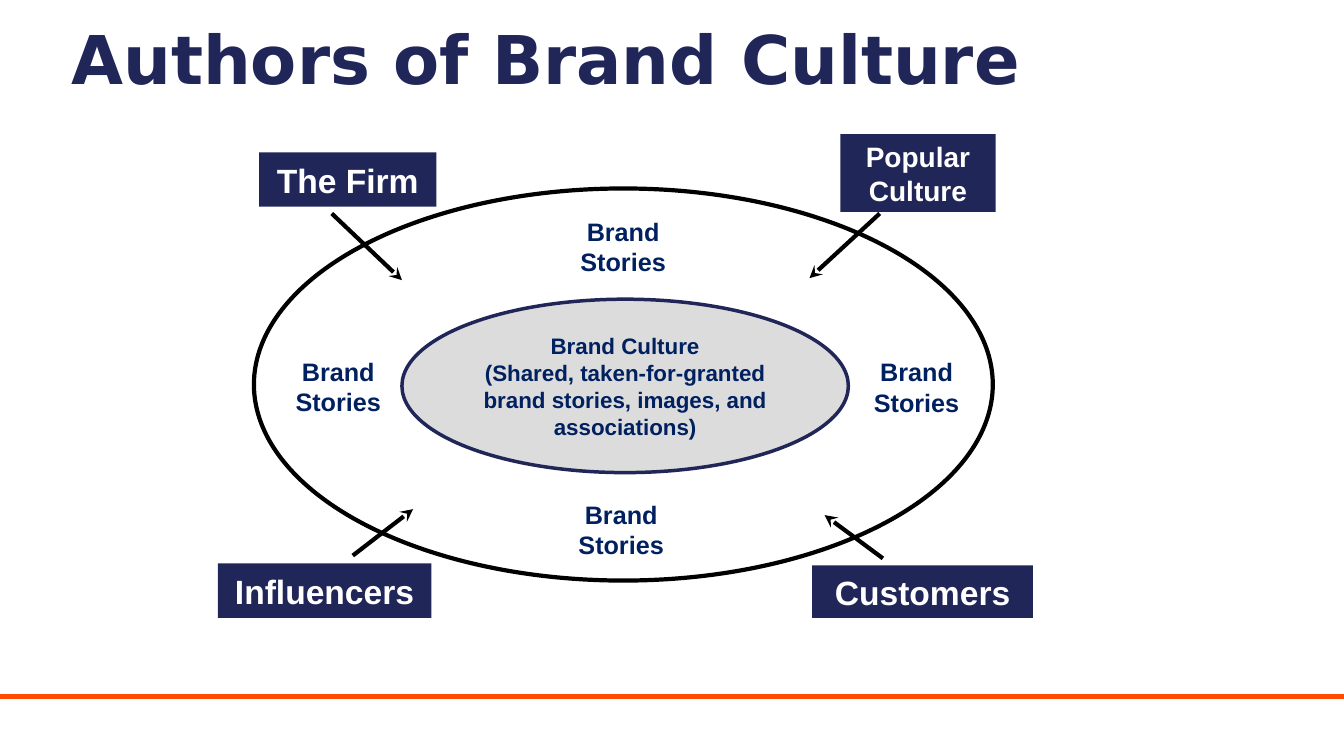
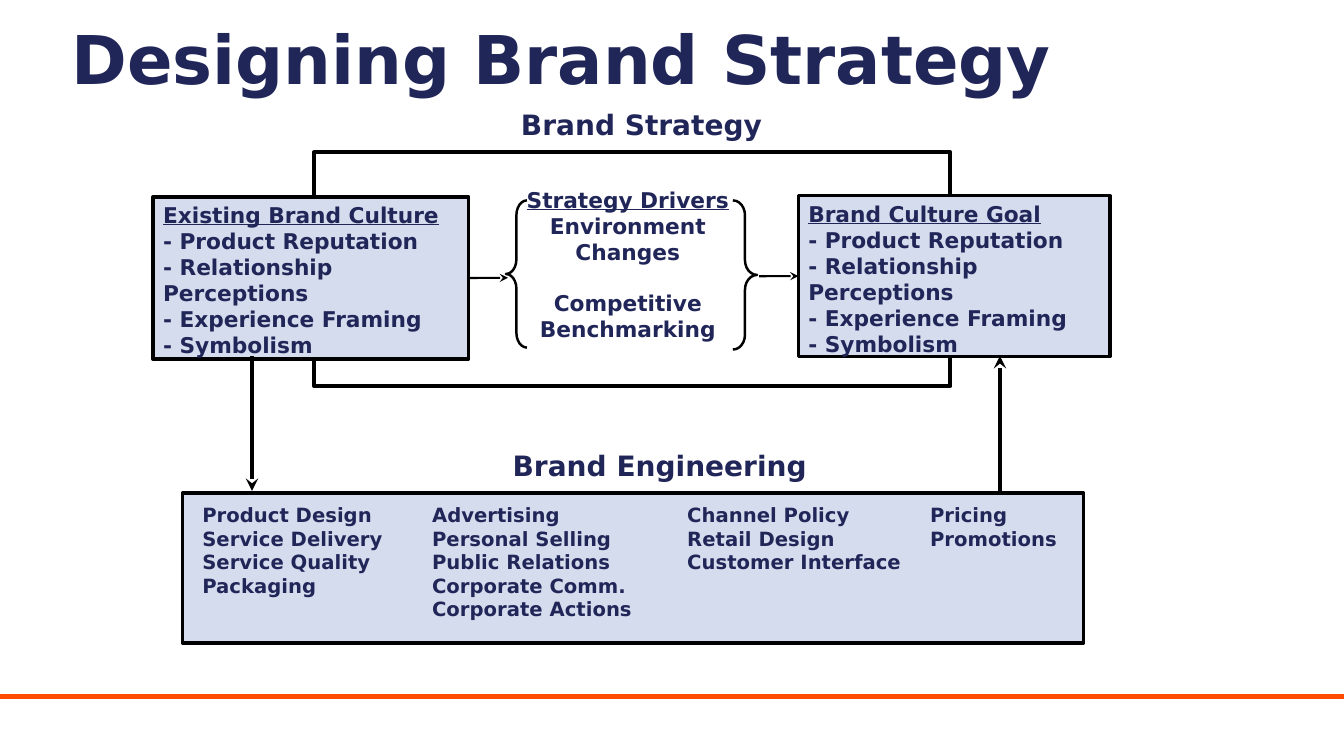
from dataclasses import dataclass
from typing import Optional

from lxml.etree import SubElement
from pptx import Presentation
from pptx.dml.color import RGBColor
from pptx.enum.shapes import MSO_CONNECTOR, MSO_SHAPE
from pptx.enum.text import MSO_ANCHOR, PP_ALIGN
from pptx.oxml.ns import qn
from pptx.util import Cm, Pt

# Shared look
NAVY, DEEP_BLUE, PALE_BLUE = "212659", "002060", "D5DCED"
BLACK, WHITE, GREY, ORANGE = "000000", "FFFFFF", "A6A6A6", "FF4A00"
SANS, ARIAL = "DejaVu Sans", "Arial"
SLIDE_WIDTH, SLIDE_HEIGHT = 33.87, 19.05
FOOTER_TOP = 17.55
TOP, MIDDLE = MSO_ANCHOR.TOP, MSO_ANCHOR.MIDDLE
LEFT, CENTER = PP_ALIGN.LEFT, PP_ALIGN.CENTER


@dataclass(frozen=True)
class Box:
    left: float
    top: float
    width: float
    height: float


@dataclass(frozen=True)
class TextStyle:
    size: float
    color: str = NAVY
    font: str = SANS
    align: PP_ALIGN = LEFT
    anchor: MSO_ANCHOR = TOP
    underline_first: bool = False
    inset_top: float = 0.13


@dataclass(frozen=True)
class Outline:
    color: str
    width: float


@dataclass(frozen=True)
class Label:
    text: str
    box: Box
    size: float = 24


@dataclass(frozen=True)
class Arrow:
    start: tuple[float, float]
    end: tuple[float, float]
    width: float = 3


TITLE = TextStyle(48, inset_top=0.24)
STORY = TextStyle(18, DEEP_BLUE, ARIAL, CENTER)
CORE = TextStyle(16, DEEP_BLUE, ARIAL, CENTER, MIDDLE)
CULTURE = TextStyle(15.5, underline_first=True)
DRIVERS = TextStyle(15.5, align=CENTER, underline_first=True)
HEADING = TextStyle(20)
COLUMN = TextStyle(14)


def rgb(color: str) -> RGBColor:
    return RGBColor.from_string(color)


def set_values(target, values: dict) -> None:
    for name, value in values.items():
        setattr(target, name, value)


def write_text(shape, lines: list[str], style: TextStyle) -> None:
    frame = shape.text_frame
    set_values(frame, {
        "word_wrap": True,
        "vertical_anchor": style.anchor,
        "margin_top": Cm(style.inset_top),
    })
    for index, line in enumerate(lines):
        paragraph = frame.paragraphs[0] if index == 0 else frame.add_paragraph()
        paragraph.alignment = style.align
        run = paragraph.add_run()
        run.text = line
        set_values(run.font, {
            "name": style.font,
            "size": Pt(style.size),
            "bold": True,
            "underline": style.underline_first and index == 0,
        })
        run.font.color.rgb = rgb(style.color)


def add_text(slide, box: Box, lines: list[str], style: TextStyle):
    shape = slide.shapes.add_textbox(
        Cm(box.left), Cm(box.top), Cm(box.width), Cm(box.height))
    write_text(shape, lines, style)
    return shape


def draw_shape(slide, kind: MSO_SHAPE, box: Box, fill: Optional[str] = None,
               outline: Optional[Outline] = None):
    shape = slide.shapes.add_shape(
        kind, Cm(box.left), Cm(box.top), Cm(box.width), Cm(box.height))
    shape.shadow.inherit = False
    if fill:
        shape.fill.solid()
        shape.fill.fore_color.rgb = rgb(fill)
    else:
        shape.fill.background()
    if outline:
        shape.line.color.rgb = rgb(outline.color)
        shape.line.width = Pt(outline.width)
    else:
        shape.line.fill.background()
    return shape


def draw_line(slide, arrow: Arrow, color: str = BLACK, head: bool = True):
    ends = [Cm(value) for value in (*arrow.start, *arrow.end)]
    line = slide.shapes.add_connector(MSO_CONNECTOR.STRAIGHT, *ends)
    line.line.color.rgb = rgb(color)
    line.line.width = Pt(arrow.width)
    properties = line._element.spPr
    if head:
        SubElement(properties.find(qn("a:ln")), qn("a:tailEnd"), type="stealth")
    SubElement(properties, qn("a:effectLst"))
    return line


def set_opacity(shape, percent: int) -> None:
    color = shape._element.spPr.find(qn("a:solidFill")).find(qn("a:srgbClr"))
    SubElement(color, qn("a:alpha"), val=str(percent * 1000))


def new_slide(presentation, title: str):
    slide = presentation.slides.add_slide(presentation.slide_layouts[6])
    footer = Arrow((0, FOOTER_TOP), (SLIDE_WIDTH, FOOTER_TOP))
    draw_line(slide, footer, ORANGE, head=False)
    add_text(slide, Box(1.55, 0.2, 31.52, 2.11), [title], TITLE)
    return slide


# Slide 1: authors around two nested ellipses
AUTHORS = [
    Label("The Firm", Box(6.53, 3.84, 4.47, 1.37)),
    Label("Popular Culture", Box(21.18, 3.38, 3.91, 1.96), 20),
    Label("Influencers", Box(5.49, 14.2, 5.38, 1.37)),
    Label("Customers", Box(20.47, 14.25, 5.56, 1.32)),
]
STORY_BOXES = [
    Box(14.27, 5.31, 2.87, 1.88),
    Box(21.54, 8.86, 3.12, 1.88),
    Box(14.17, 12.45, 2.97, 1.88),
    Box(7.09, 8.84, 2.87, 1.88),
]
AUTHOR_ARROWS = [
    Arrow((8.89, 14), (10.41, 12.83)),
    Arrow((22.25, 14.07), (20.78, 12.98)),
    Arrow((8.36, 5.38), (10.13, 7.06)),
    Arrow((22.17, 5.38), (20.4, 7.01)),
]


def build_authors(presentation) -> None:
    slide = new_slide(presentation, "Authors of Brand Culture")
    for author in AUTHORS:
        shape = draw_shape(slide, MSO_SHAPE.RECTANGLE, author.box, NAVY)
        write_text(shape, [author.text],
                   TextStyle(author.size, WHITE, ARIAL, CENTER, MIDDLE))

    draw_shape(slide, MSO_SHAPE.OVAL, Box(6.4, 4.75, 18.62, 9.88),
               WHITE, Outline(BLACK, 3))
    core = draw_shape(slide, MSO_SHAPE.OVAL, Box(10.13, 7.54, 11.25, 4.37),
                      GREY, Outline(NAVY, 2.5))
    set_opacity(core, 39)
    write_text(core, [
        "Brand Culture",
        "(Shared, taken-for-granted brand stories, images, and associations)",
    ], CORE)

    for box in STORY_BOXES:
        add_text(slide, box, ["Brand", "Stories"], STORY)
    for arrow in AUTHOR_ARROWS:
        draw_line(slide, arrow)


# Slide 2: strategy above, engineering below
CULTURE_POINTS = [
    "- Product Reputation",
    "- Relationship Perceptions",
    "- Experience Framing",
    "- Symbolism",
]
HEADINGS = [
    Label("Brand Strategy", Box(12.88, 2.59, 6.78, 0.99)),
    Label("Brand Engineering", Box(12.67, 11.18, 8.31, 1.04)),
]
BRACES = [
    (MSO_SHAPE.LEFT_BRACE, Box(12.75, 5.05, 0.53, 3.71), 0.7),
    (MSO_SHAPE.RIGHT_BRACE, Box(18.47, 5.05, 0.61, 3.76), 0.61),
]
ENGINEERING_COLUMNS = [
    (4.85, 5.51, ["Product Design", "Service Delivery", "Service Quality",
                  "Packaging"]),
    (10.64, 6.32, ["Advertising", "Personal Selling", "Public Relations",
                   "Corporate Comm.", "Corporate Actions"]),
    (17.07, 6.2, ["Channel Policy", "Retail Design", "Customer Interface"]),
    (23.19, 3.91, ["Pricing", "Promotions"]),
]
LINK_TOP, LINK_BOTTOM = 8.97, 12.37
ENGINEERING_ARROWS = [
    Arrow((6.35, LINK_TOP), (6.35, LINK_BOTTOM)),
    Arrow((25.2, LINK_BOTTOM), (25.2, LINK_TOP)),
]


def build_strategy(presentation) -> None:
    slide = new_slide(presentation, "Designing Brand Strategy")
    thin = Outline(BLACK, 2.5)

    # Strategy frame and the two culture boxes
    draw_shape(slide, MSO_SHAPE.RECTANGLE, Box(7.92, 3.84, 16.03, 5.89),
               WHITE, Outline(BLACK, 3))
    existing, goal = [
        draw_shape(slide, MSO_SHAPE.RECTANGLE, box, PALE_BLUE, thin)
        for box in (Box(3.86, 4.96, 7.95, 4.09), Box(20.12, 4.93, 7.85, 4.06))
    ]
    write_text(existing, ["Existing Brand Culture", *CULTURE_POINTS], CULTURE)
    write_text(goal, ["Brand Culture Goal", *CULTURE_POINTS], CULTURE)

    # Strategy drivers between braces
    drivers = add_text(slide, Box(12.9, 4.57, 5.84, 4.19), [
        "Strategy Drivers", "Environment", "Changes",
        "Competitive", "Benchmarking",
    ], DRIVERS)
    drivers.text_frame.paragraphs[3].space_before = Pt(18)
    for kind, box, curve in BRACES:
        brace = draw_shape(slide, kind, box, outline=Outline(BLACK, 1.75))
        brace.adjustments[0] = curve

    # Engineering panel
    draw_shape(slide, MSO_SHAPE.RECTANGLE, Box(4.6, 12.42, 22.71, 3.78),
               PALE_BLUE, thin)
    for arrow in ENGINEERING_ARROWS:
        draw_line(slide, arrow)
    for heading in HEADINGS:
        add_text(slide, heading.box, [heading.text], HEADING)
    for left, width, lines in ENGINEERING_COLUMNS:
        add_text(slide, Box(left, 12.55, width, 3.3), lines, COLUMN)

    # Arrows from and to the culture boxes
    outgoing = draw_line(slide, Arrow((11.81, 7), (12.8, 7), 1.5))
    outgoing.begin_connect(existing, 3)
    incoming = draw_line(slide, Arrow((19.13, 6.96), (20.12, 6.96), 1.5))
    incoming.end_connect(goal, 1)


def main() -> None:
    presentation = Presentation()
    set_values(presentation, {
        "slide_width": Cm(SLIDE_WIDTH),
        "slide_height": Cm(SLIDE_HEIGHT),
    })
    build_authors(presentation)
    build_strategy(presentation)
    presentation.save("out.pptx")


if __name__ == "__main__":
    main()
